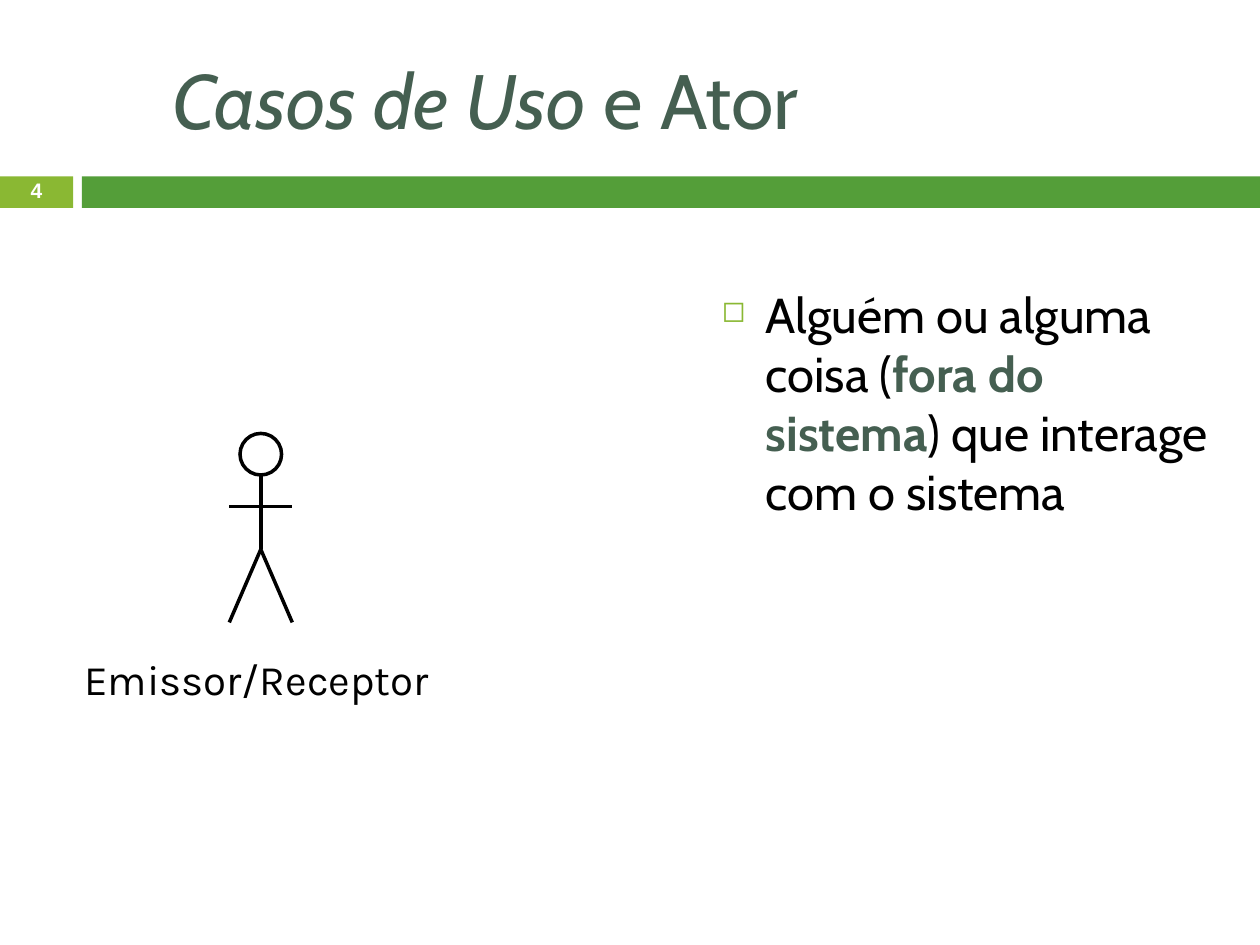
import pptx
import pptx.util
import pptx.dml.color
import pptx.enum.shapes
import pptx.enum.text
import pptx.oxml.ns
from lxml import etree

Inches = pptx.util.Inches
RGBColor = pptx.dml.color.RGBColor
MSO_SHAPE = pptx.enum.shapes.MSO_SHAPE
ANCHOR = pptx.enum.text.MSO_ANCHOR
ALIGN = pptx.enum.text.PP_ALIGN

BLACK = RGBColor(0x00, 0x00, 0x00)
WHITE = RGBColor(0xFF, 0xFF, 0xFF)
SLATE = RGBColor(0x45, 0x5F, 0x51)
LIME = RGBColor(0x8A, 0xB8, 0x33)
GREEN = RGBColor(0x54, 0x9E, 0x39)

TITLE = [("Casos de Uso", {"italic": True}), (" e Ator", {})]
DEFINITION = [
    ("Alguém ou alguma coisa (", {}),
    ("fora do sistema", {"bold": True, "color": SLATE}),
    (") que interage com o sistema", {}),
]
PAGE_NUMBER = [("4", {"bold": True})]
ACTOR_NAME = [("Emissor/Receptor", {})]

BANDS = [((0, 1.4, 0.58, 0.25), LIME), ((0.65, 1.4, 9.35, 0.25), GREEN)]

ACTOR_X, ARM_REACH, HEAD_SIZE = 2.07, 0.25, 0.33
HEAD_TOP, ARM_Y, HIP_Y, FOOT_Y = 3.44, 4.02, 4.36, 4.94
NECK_Y = HEAD_TOP + HEAD_SIZE
LEFT_X, RIGHT_X = ACTOR_X - ARM_REACH, ACTOR_X + ARM_REACH
LIMBS = [
    (ACTOR_X, HIP_Y, ACTOR_X, NECK_Y),
    (LEFT_X, FOOT_Y, ACTOR_X, HIP_Y),
    (RIGHT_X, FOOT_Y, ACTOR_X, HIP_Y),
    (LEFT_X, ARM_Y, RIGHT_X, ARM_Y),
]


def write_text(shape, runs, *, box, size, font, color, align=ALIGN.LEFT,
               anchor=ANCHOR.TOP, wrap=True, spacing=1.0):
    shape.left, shape.top, shape.width, shape.height = map(Inches, box)
    frame = shape.text_frame
    frame.word_wrap = wrap
    frame.auto_size = pptx.enum.text.MSO_AUTO_SIZE.NONE
    frame.vertical_anchor = anchor
    paragraph = frame.paragraphs[0]
    paragraph.alignment = align
    paragraph.line_spacing = spacing
    for text, style in runs:
        run = paragraph.add_run()
        run.text = text
        run.font.name = font
        run.font.size = pptx.util.Pt(size)
        run.font.bold = style.get("bold", False)
        run.font.italic = style.get("italic", False)
        run.font.color.rgb = style.get("color", color)
    return paragraph


def add_bullet(paragraph, character, color, percent, indent):
    properties = paragraph._p.get_or_add_pPr()
    properties.set("marL", str(Inches(indent)))
    properties.set("indent", str(-Inches(indent)))
    qualified = pptx.oxml.ns.qn
    bullet_color = etree.SubElement(properties, qualified("a:buClr"))
    etree.SubElement(bullet_color, qualified("a:srgbClr"), val=str(color))
    etree.SubElement(properties, qualified("a:buSzPct"), val=str(percent * 1000))
    etree.SubElement(properties, qualified("a:buChar"), char=character)


def outline(shape):
    shape.line.color.rgb = BLACK
    shape.line.width = pptx.util.Pt(2)


def draw_actor(slide):
    actor = slide.shapes.add_group_shape()
    head = actor.shapes.add_shape(
        MSO_SHAPE.OVAL, Inches(ACTOR_X - HEAD_SIZE / 2), Inches(HEAD_TOP),
        Inches(HEAD_SIZE), Inches(HEAD_SIZE))
    head.shadow.inherit = False
    head.fill.background()
    outline(head)
    for ends in LIMBS:
        limb = actor.shapes.add_connector(
            pptx.enum.shapes.MSO_CONNECTOR.STRAIGHT, *map(Inches, ends))
        outline(limb)
        etree.SubElement(limb._element.spPr, pptx.oxml.ns.qn("a:effectLst"))


def main():
    presentation = pptx.Presentation()
    presentation.slide_width = Inches(10)
    presentation.slide_height = Inches(7.5)
    slide = presentation.slides.add_slide(presentation.slide_layouts[5])

    for box, color in BANDS:
        band = slide.shapes.add_shape(MSO_SHAPE.RECTANGLE, *map(Inches, box))
        band.shadow.inherit = False
        band.fill.solid()
        band.fill.fore_color.rgb = color
        band.line.fill.background()

    def new_box():
        return slide.shapes.add_textbox(0, 0, 0, 0)

    write_text(slide.shapes.title, TITLE, box=(1.27, 0.16, 8.52, 1.25),
               size=44, font="Cabin", color=SLATE, anchor=ANCHOR.MIDDLE)
    write_text(new_box(), PAGE_NUMBER, box=(0, 1.39, 0.58, 0.27),
               size=12, font="Arial", color=WHITE, align=ALIGN.CENTER,
               anchor=ANCHOR.MIDDLE, spacing=0.8)
    definition = write_text(new_box(), DEFINITION, box=(5.63, 2.21, 4.17, 4.5),
                            size=28, font="Cabin", color=BLACK)
    definition.space_before = pptx.util.Pt(7)
    add_bullet(definition, "◻", LIME, percent=60, indent=0.35)
    draw_actor(slide)
    write_text(new_box(), ACTOR_NAME, box=(0.57, 5.14, 2.97, 0.5),
               size=24, font="Karla", color=BLACK, wrap=False)

    presentation.save("out.pptx")


if __name__ == "__main__":
    main()
